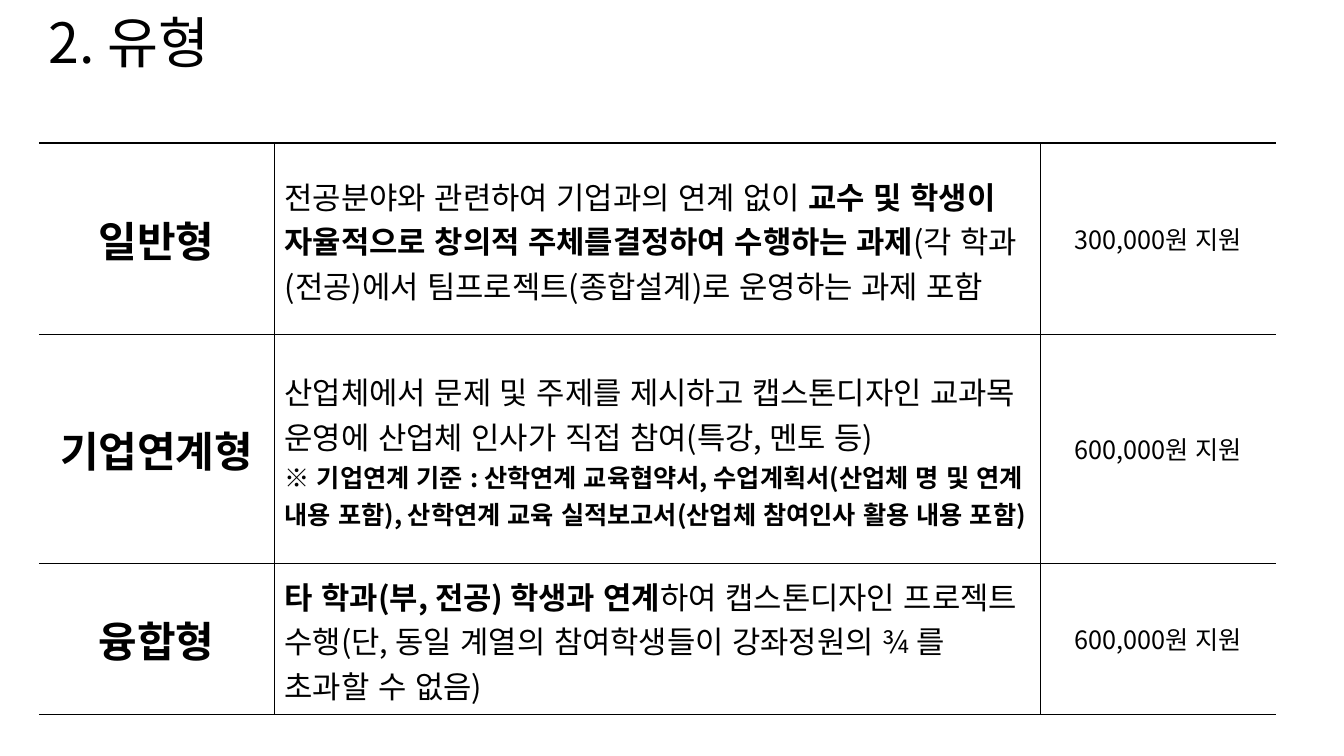
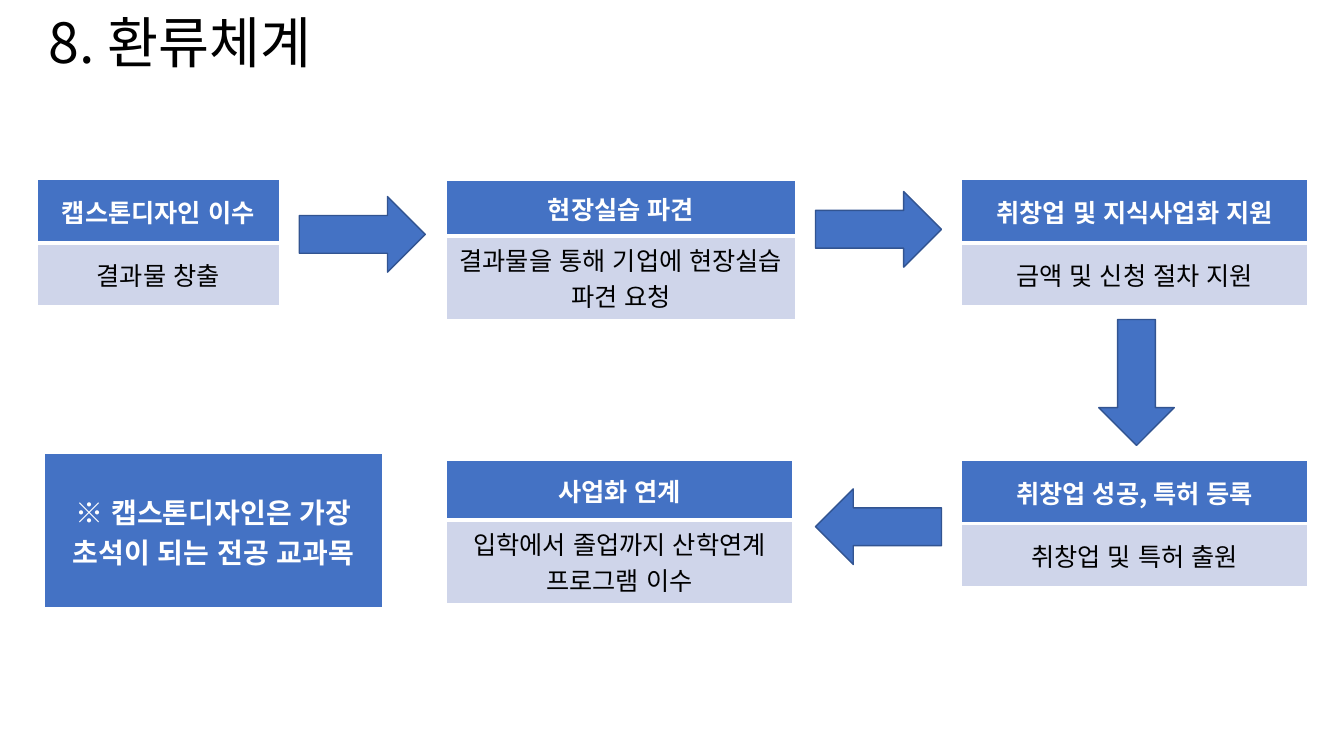
"""Build two slides on capstone design types and their feedback cycle."""
from dataclasses import dataclass
from typing import NamedTuple, Optional

from lxml.etree import SubElement
from pptx import Presentation
from pptx.dml.color import RGBColor
from pptx.enum.lang import MSO_LANGUAGE_ID
from pptx.enum.shapes import MSO_SHAPE
from pptx.enum.text import MSO_ANCHOR, MSO_AUTO_SIZE, PP_ALIGN
from pptx.oxml.ns import qn
from pptx.util import Pt


@dataclass(frozen=True)
class Theme:
    font: str = "Noto Sans CJK KR"
    black: str = "000000"
    white: str = "FFFFFF"
    blue: str = "4472C4"
    pale_blue: str = "CFD5EA"
    arrow_edge: str = "325491"
    title: float = 39.6
    category: float = 30
    description: float = 22
    note: float = 20
    body: float = 18


THEME = Theme()


class Run(NamedTuple):
    text: str
    size: float = THEME.body
    bold: bool = False
    color: str = THEME.black


class Border(NamedTuple):
    color: str
    width: float


class Edges(NamedTuple):
    left: Optional[Border]
    right: Optional[Border]
    top: Optional[Border]
    bottom: Optional[Border]


@dataclass(frozen=True)
class Cell:
    paragraphs: list[list[Run]]
    edges: Edges
    align: PP_ALIGN = PP_ALIGN.CENTER
    fill: Optional[str] = None
    top_margin: float = 3.6


@dataclass(frozen=True)
class ProjectType:
    name: str
    description: list[list[Run]]
    support: str
    height: float


@dataclass(frozen=True)
class Stage:
    heading: str
    detail: str
    left: float
    top: float
    width: float
    heights: tuple[float, float]


class Arrow(NamedTuple):
    left: float
    top: float
    rotation: float = 0


RULE = Border(THEME.black, 1)
THIN = Border(THEME.white, 1)
THICK = Border(THEME.white, 3)
TYPE_WIDTHS = [168.5, 547.2, 167.8]
TYPE_EDGES = [
    Edges(None, RULE, RULE, RULE),
    Edges(RULE, RULE, RULE, RULE),
    Edges(RULE, None, RULE, RULE),
]
HEADING_EDGES = Edges(THIN, THIN, THIN, THICK)
DETAIL_EDGES = Edges(THIN, THIN, THICK, THIN)

PROJECT_TYPES = [
    ProjectType(
        "일반형",
        [[
            Run("전공분야와 관련하여 기업과의 연계 없이 ", THEME.description),
            Run("교수 및 학생이 자율적으로 창의적 주체를결정하여 수행하는 과제", THEME.description, True),
            Run("(각 학과(전공)에서 팀프로젝트(종합설계)로 운영하는 과제 포함", THEME.description),
        ]],
        "300,000원 지원",
        136,
    ),
    ProjectType(
        "기업연계형",
        [
            [Run("산업체에서 문제 및 주제를 제시하고 캡스톤디자인 교과목 운영에 "
                 "산업체 인사가 직접 참여(특강, 멘토 등)", THEME.description)],
            [Run("※ 기업연계 기준 : 산학연계 교육협약서, 수업계획서(산업체 명 및 연계 내용 포함), "
                 "산학연계 교육 실적보고서(산업체 참여인사 활용 내용 포함)", bold=True)],
        ],
        "600,000원 지원",
        163.5,
    ),
    ProjectType(
        "융합형",
        [[
            Run("타 학과(부, 전공) 학생과 연계", THEME.description, True),
            Run("하여 캡스톤디자인 프로젝트 수행(단, 동일 계열의 참여학생들이 "
                "강좌정원의 ¾ 를 초과할 수 없음)", THEME.description),
        ]],
        "600,000원 지원",
        108,
    ),
]

LEFT, MIDDLE, RIGHT = 26.6, 319, 687
UPPER, LOWER = 128.4, 329
STAGES = [
    Stage("캡스톤디자인 이수", "결과물 창출", LEFT, UPPER, 172.8, (45, 45)),
    Stage("현장실습 파견", "결과물을 통해 기업에 현장실습 파견 요청", MIDDLE, 129, 249, (39.6, 58.5)),
    Stage("취창업 및 지식사업화 지원", "금액 및 신청 절차 지원", RIGHT, UPPER, 247, (45, 45)),
    Stage("취창업 성공, 특허 등록", "취창업 및 특허 출원", RIGHT, LOWER, 247, (45, 45)),
    Stage("사업화 연계", "입학에서 졸업까지 산학연계 프로그램 이수", MIDDLE, LOWER, 247, (42.5, 58.5)),
]
ARROWS = [
    Arrow(213.8, 140.4),
    Arrow(582.5, 136.8),
    Arrow(766.8, 246.2, 90),
    Arrow(582.5, 349.2, 180),
]


def add_run(paragraph, content: Run) -> None:
    """Append one formatted run to a paragraph."""
    run = paragraph.add_run()
    run.text = content.text
    font = run.font
    font.size = Pt(content.size)
    font.bold = content.bold
    font.color.rgb = RGBColor.from_string(content.color)
    font.name = THEME.font
    font.language_id = MSO_LANGUAGE_ID.KOREAN
    SubElement(run._r.get_or_add_rPr(), qn("a:ea"), typeface=THEME.font)


def add_titled_slide(deck, title: str):
    """Add a title-only slide with the shared title style."""
    slide = deck.slides.add_slide(deck.slide_layouts[5])
    heading = slide.shapes.title
    heading.left, heading.top = Pt(27.4), Pt(6.5)
    heading.width, heading.height = Pt(600), Pt(52)
    frame = heading.text_frame
    frame.auto_size = MSO_AUTO_SIZE.NONE
    frame.vertical_anchor = MSO_ANCHOR.MIDDLE
    paragraph = frame.paragraphs[0]
    paragraph.alignment = PP_ALIGN.LEFT
    paragraph.line_spacing = 0.9
    add_run(paragraph, Run(title, THEME.title))
    return slide


def set_edges(table_cell, edges: Edges) -> None:
    """Draw the four borders of a table cell."""
    properties = table_cell._tc.get_or_add_tcPr()
    for tag, border in zip(("a:lnL", "a:lnR", "a:lnT", "a:lnB"), edges):
        line = SubElement(properties, qn(tag))
        if border is None:
            SubElement(line, qn("a:noFill"))
            continue
        line.set("w", str(Pt(border.width)))
        fill = SubElement(line, qn("a:solidFill"))
        SubElement(fill, qn("a:srgbClr"), val=border.color)


def fill_cell(table_cell, content: Cell) -> None:
    """Write and format the content of one table cell."""
    table_cell.vertical_anchor = MSO_ANCHOR.MIDDLE
    table_cell.margin_top = Pt(content.top_margin)
    set_edges(table_cell, content.edges)
    if content.fill:
        table_cell.fill.solid()
        table_cell.fill.fore_color.rgb = RGBColor.from_string(content.fill)
    else:
        table_cell.fill.background()
    frame = table_cell.text_frame
    for index, runs in enumerate(content.paragraphs):
        paragraph = frame.add_paragraph() if index else frame.paragraphs[0]
        paragraph.alignment = content.align
        for run in runs:
            add_run(paragraph, run)


def add_grid(slide, left: float, top: float, widths: list[float],
             heights: list[float], rows: list[list[Cell]]) -> None:
    """Add a table with its own fills and borders."""
    table = slide.shapes.add_table(
        len(heights), len(widths), Pt(left), Pt(top), Pt(sum(widths)), Pt(sum(heights))
    ).table
    table.first_row = table.horz_banding = False
    for column, width in zip(table.columns, widths):
        column.width = Pt(width)
    for row, height, contents in zip(table.rows, heights, rows):
        row.height = Pt(height)
        for table_cell, content in zip(row.cells, contents):
            fill_cell(table_cell, content)


def type_row(project: ProjectType) -> list[Cell]:
    """Return the name, description and support cells of a project type."""
    name_edges, description_edges, support_edges = TYPE_EDGES
    return [
        Cell([[Run(project.name, THEME.category, True)]], name_edges),
        Cell(project.description, description_edges, PP_ALIGN.LEFT, top_margin=5.8),
        Cell([[Run(project.support)]], support_edges),
    ]


def heading_cell(lines: list[str], size: float) -> Cell:
    """Return a blue cell with bold white lines."""
    paragraphs = [[Run(line, size, True, THEME.white)] for line in lines]
    return Cell(paragraphs, HEADING_EDGES, fill=THEME.blue)


def add_stage(slide, stage: Stage) -> None:
    """Draw a stage as a heading above its detail."""
    heading = heading_cell([stage.heading], THEME.body)
    detail = Cell([[Run(stage.detail)]], DETAIL_EDGES, fill=THEME.pale_blue)
    add_grid(slide, stage.left, stage.top, [stage.width], list(stage.heights), [[heading], [detail]])


def add_arrow(slide, arrow: Arrow) -> None:
    """Draw a block arrow between two stages."""
    block = slide.shapes.add_shape(
        MSO_SHAPE.RIGHT_ARROW, Pt(arrow.left), Pt(arrow.top), Pt(90), Pt(54)
    )
    block.rotation = arrow.rotation
    block.shadow.inherit = False
    block.fill.solid()
    block.fill.fore_color.rgb = RGBColor.from_string(THEME.blue)
    block.line.color.rgb = RGBColor.from_string(THEME.arrow_edge)
    block.line.width = Pt(1)


def build_types(deck) -> None:
    """Build the slide of project types."""
    slide = add_titled_slide(deck, "2. 유형")
    heights = [project.height for project in PROJECT_TYPES]
    add_grid(slide, 27.7, 102.2, TYPE_WIDTHS, heights, [type_row(project) for project in PROJECT_TYPES])


def build_cycle(deck) -> None:
    """Build the slide of the feedback cycle."""
    slide = add_titled_slide(deck, "8. 환류체계")
    for stage in STAGES:
        add_stage(slide, stage)
    for arrow in ARROWS:
        add_arrow(slide, arrow)
    note = heading_cell(["※ 캡스톤디자인은 가장", "초석이 되는 전공 교과목"], THEME.note)
    add_grid(slide, 32, 324, [241], [111], [[note]])


def main() -> None:
    """Build and save the deck."""
    deck = Presentation()
    deck.slide_width, deck.slide_height = Pt(960), Pt(540)
    build_types(deck)
    build_cycle(deck)
    deck.save("out.pptx")


if __name__ == "__main__":
    main()
